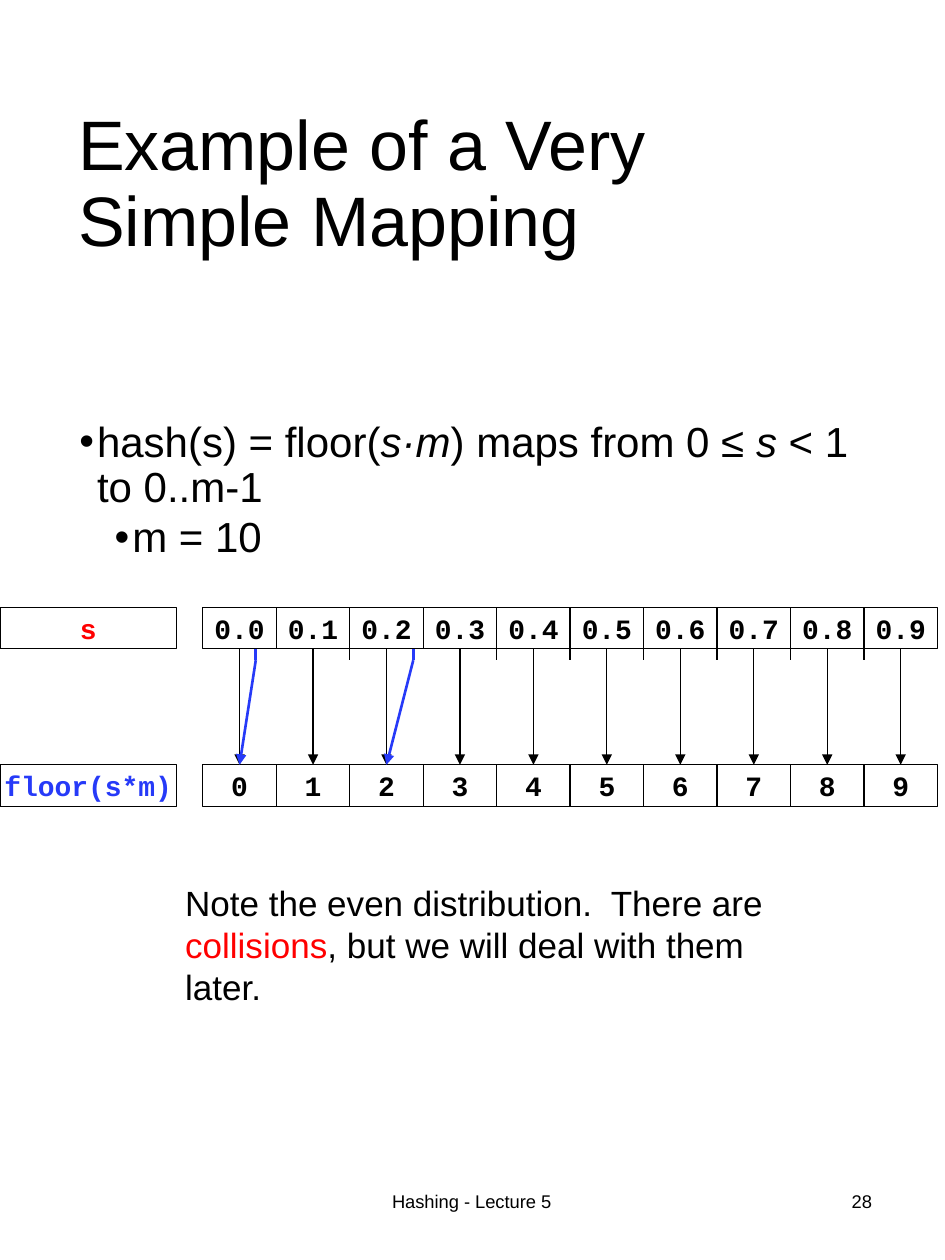
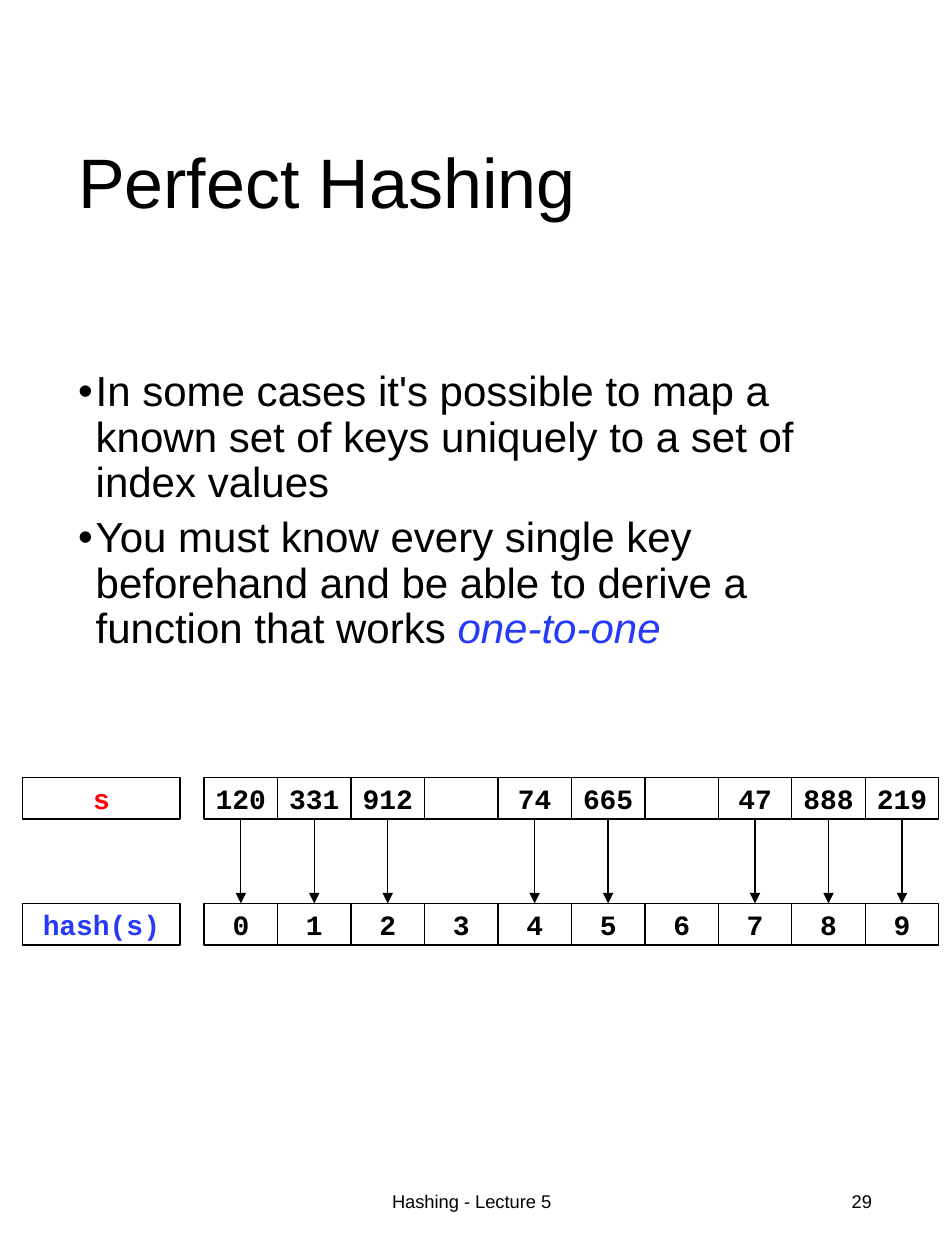
from pptx import Presentation
from pptx.dml.color import RGBColor
from pptx.enum.shapes import MSO_CONNECTOR, MSO_SHAPE
from pptx.enum.text import MSO_ANCHOR, PP_ALIGN
from pptx.oxml.ns import qn
from pptx.util import Inches, Pt

RECT = MSO_SHAPE.RECTANGLE
STRAIGHT = MSO_CONNECTOR.STRAIGHT
TOP, MIDDLE = MSO_ANCHOR.TOP, MSO_ANCHOR.MIDDLE
LEFT, CENTER, RIGHT = PP_ALIGN.LEFT, PP_ALIGN.CENTER, PP_ALIGN.RIGHT

BLACK, RED, BLUE = "000000", "FF0000", "263AF8"
SANS, MONO = "Arial", "Courier New"
INSET = 0.07
CELL_W, CELL_H = 5.83 / 10, 0.33
TICK = 0.09

FOOTER = "Hashing - Lecture 5"

# A run is (text, colour, italic); a bullet is (level, runs).
SLIDES = [
    {
        "page": "28",
        "title": "Example of a Very Simple Mapping",
        "body_at": (0.56, 3.27, 6.38, 0.81),
        "bullets": [
            (0, [("hash(s) = floor(", BLACK, False), ("s·m", BLACK, True),
                 (") maps from 0 ≤ ", BLACK, False), ("s ", BLACK, True),
                 ("< 1 to 0..m-1", BLACK, False)]),
            (1, [("m = 10", BLACK, False)]),
        ],
        "keys": ["0.0", "0.1", "0.2", "0.3", "0.4",
                 "0.5", "0.6", "0.7", "0.8", "0.9"],
        "label": "floor(s*m)",
        "label_at": (0, 1.4),
        "cells_x": 1.61,
        "rows_y": (4.82, 6.07),
        "ticks": [2, 4, 5, 6, 7, 8, 9],
        "extra": [(2.03, 0), (3.28, 2)],
        "note": [("Note the even distribution.  There are ", BLACK, False),
                 ("collisions", RED, False),
                 (", but we will deal with them later.", BLACK, False)],
    },
    {
        "page": "29",
        "title": "Perfect Hashing",
        "body_at": (0.55, 2.87, 6.56, 2.4),
        "bullets": [
            (0, [("In some cases it's possible to map a known set of keys "
                  "uniquely to a set of index values", BLACK, False)]),
            (0, [("You must know every single key beforehand and be able to "
                  "derive a function that works ", BLACK, False),
                 ("one-to-one", BLUE, True)]),
        ],
        "keys": ["120", "331", "912", "", "74", "665", "", "47", "888", "219"],
        "label": "hash(s)",
        "label_at": (0.18, 1.25),
        "cells_x": 1.62,
        "rows_y": (6.17, 7.17),
    },
]


def rgb(color):
    return RGBColor.from_string(color)


def style(para, size, name=SANS, color=BLACK, bold=False, align=LEFT):
    para.alignment = align
    font = para.font
    font.size, font.name, font.bold = Pt(size), name, bold
    font.color.rgb = rgb(color)


def add_runs(para, runs):
    for text, color, italic in runs:
        run = para.add_run()
        run.text = text
        if color != BLACK:
            run.font.color.rgb = rgb(color)
        if italic:
            run.font.italic = True


def set_frame(frame, anchor, wrap=True):
    frame.word_wrap = wrap
    frame.vertical_anchor = anchor
    frame.margin_left = frame.margin_right = Inches(INSET)
    frame.margin_top = frame.margin_bottom = Inches(INSET)


def add_text(slide, box, runs, size, align=LEFT, spacing=None):
    frame = slide.shapes.add_textbox(*map(Inches, box)).text_frame
    set_frame(frame, MIDDLE)
    para = frame.paragraphs[0]
    add_runs(para, runs)
    style(para, size, align=align)
    if spacing:
        para.line_spacing = spacing


def add_bullets(slide, box, bullets):
    frame = slide.shapes.add_textbox(*map(Inches, box)).text_frame
    set_frame(frame, TOP)
    for i, (level, runs) in enumerate(bullets):
        para = frame.add_paragraph() if i else frame.paragraphs[0]
        para.level = level
        props = para._p.get_or_add_pPr()
        props.set("marL", str(Inches(0.14 + 0.28 * level)))
        props.set("indent", str(Inches(-0.14)))
        face = props.makeelement(qn("a:buFont"), {"typeface": SANS})
        mark = props.makeelement(qn("a:buChar"), {"char": "•"})
        props.extend([face, mark])
        para.line_spacing = 0.9
        if i:
            para.space_before = Pt(2.8 if level else 5.7)
        add_runs(para, runs)
        style(para, 24)


def add_cell(slide, x, y, width, text, color=BLACK):
    cell = slide.shapes.add_shape(RECT, *map(Inches, (x, y, width, CELL_H)))
    cell.shadow.inherit = False
    cell.fill.background()
    cell.line.color.rgb = rgb(BLACK)
    cell.line.width = Pt(0.75)
    if text:
        set_frame(cell.text_frame, MIDDLE, wrap=False)
        para = cell.text_frame.paragraphs[0]
        para.text = text
        style(para, 16, MONO, color, bold=True, align=CENTER)
    return cell


def add_line(slide, start, end, color=BLACK, width=0.75, arrow=False):
    line = slide.shapes.add_connector(STRAIGHT, *map(Inches, start + end))
    line.line.color.rgb = rgb(color)
    line.line.width = Pt(width)
    if arrow:
        edge = line.line._get_or_add_ln()
        edge.append(edge.makeelement(qn("a:tailEnd"), {"type": "triangle"}))
    props = line._element.spPr
    props.append(props.makeelement(qn("a:effectLst"), {}))
    return line


def add_map(slide, data):
    """Draw the key row, the index row and the arrows between them."""
    left, (key_y, slot_y) = data["cells_x"], data["rows_y"]
    low = key_y + CELL_H
    edges = [left + i * CELL_W for i in range(len(data["keys"]))]
    mids = [x + CELL_W / 2 for x in edges]
    keys = [add_cell(slide, x, key_y, CELL_W, key)
            for x, key in zip(edges, data["keys"])]
    slots = [add_cell(slide, x, slot_y, CELL_W, str(i))
             for i, x in enumerate(edges)]

    label_x, label_w = data["label_at"]
    add_cell(slide, label_x, key_y, label_w, "s", RED)
    add_cell(slide, label_x, slot_y, label_w, data["label"], BLUE)

    for text, key, slot, x in zip(data["keys"], keys, slots, mids):
        if text:
            line = add_line(slide, (x, low), (x, slot_y), arrow=True)
            line.begin_connect(key, 2)
            line.end_connect(slot, 0)
    for i in data.get("ticks", []):
        add_line(slide, (edges[i], low), (edges[i], low + TICK))
    for x, i in data.get("extra", []):
        bend = (x, low + TICK)
        add_line(slide, (x, low), bend, BLUE, 1.5)
        line = add_line(slide, bend, (mids[i], slot_y), BLUE, 1.5, True)
        line.end_connect(slots[i], 0)


def add_slide(deck, data):
    slide = deck.slides.add_slide(deck.slide_layouts[6])
    add_text(slide, (2.48, 9.27, 2.53, 0.53), [(FOOTER, BLACK, False)],
             10.5, CENTER)
    add_text(slide, (5.3, 9.27, 1.69, 0.53), [(data["page"], BLACK, False)],
             10.5, RIGHT)
    add_text(slide, (0.55, 0.51, 6.47, 1.93), [(data["title"], BLACK, False)],
             40, spacing=0.9)
    add_bullets(slide, data["body_at"], data["bullets"])
    if "note" in data:
        add_text(slide, (1.4, 6.94, 4.9, 1.11), data["note"], 20)
    add_map(slide, data)


def main():
    deck = Presentation()
    deck.slide_width, deck.slide_height = Inches(7.5), Inches(10)
    for data in SLIDES:
        add_slide(deck, data)
    deck.save("out.pptx")


if __name__ == "__main__":
    main()
